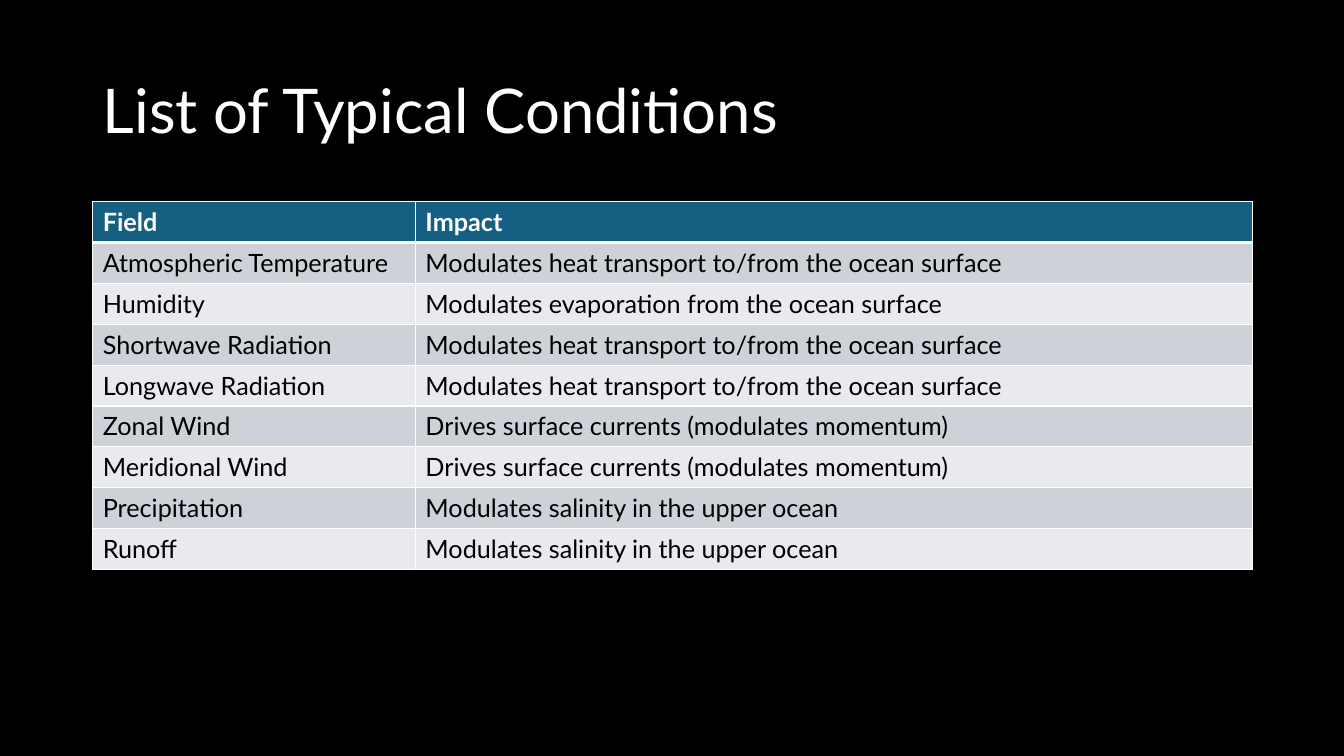
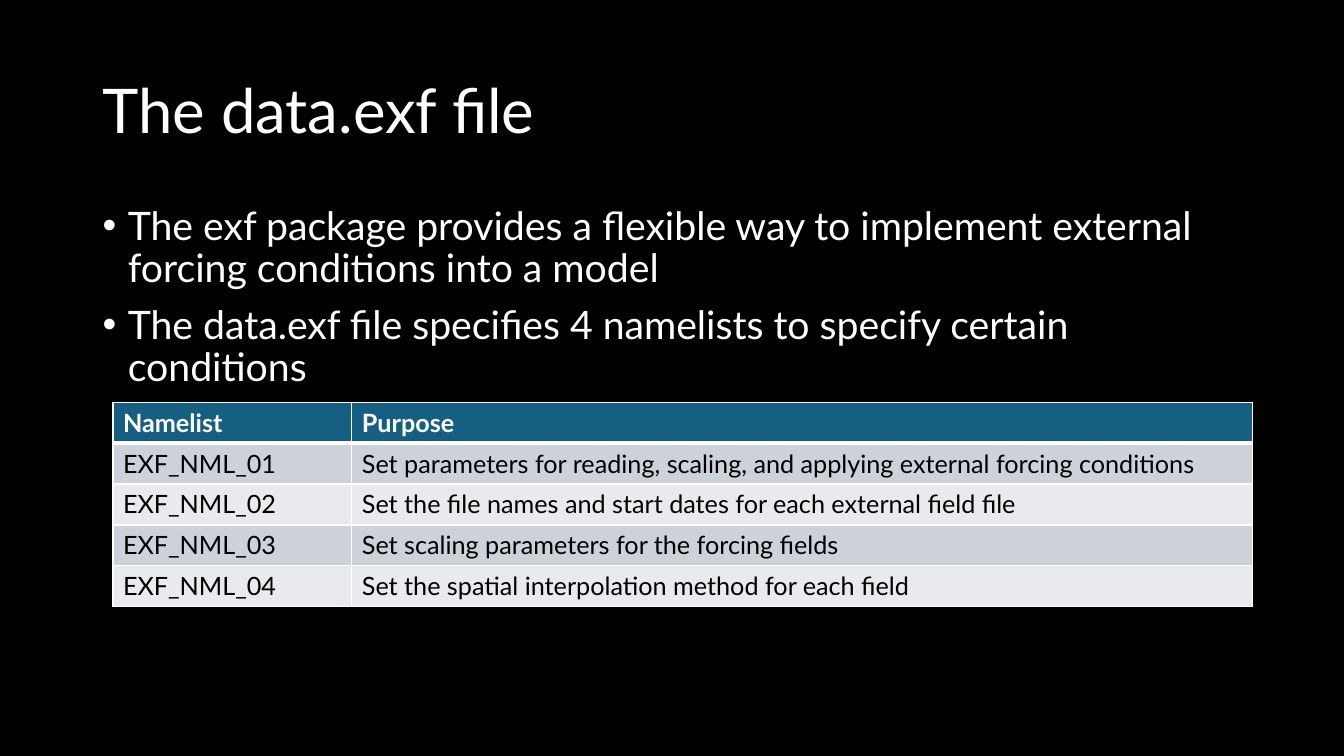
import dataclasses
import typing

import lxml.etree
import pptx
import pptx.dml.color
import pptx.enum.text
import pptx.oxml.ns
import pptx.presentation
import pptx.slide
import pptx.table
import pptx.text.text
import pptx.util

Inches = pptx.util.Inches
Pt = pptx.util.Pt

FONT = "Lato"
BLACK = "000000"
WHITE = "FFFFFF"
HEADER_FILL = "156082"
BAND_FILLS = ("CCD2D8", "E8EAED")
MARGIN = 0.92
CONTENT_WIDTH = 11.5

TITLE_FONT = {"name": FONT, "size": Pt(44)}
BULLET_FONT = {"name": FONT, "size": Pt(28)}
HEADER_FONT = {"name": FONT, "size": Pt(18), "bold": True}
CELL_FONT = {"name": FONT, "size": Pt(18), "bold": False}
TITLE_PARAGRAPH = {"line_spacing": 0.9}
BULLET_PARAGRAPH = {"line_spacing": 0.9, "space_before": Pt(10)}
TITLE_FRAME = {"word_wrap": True, "vertical_anchor": pptx.enum.text.MSO_ANCHOR.MIDDLE}
BULLET_FRAME = {"word_wrap": True, "vertical_anchor": pptx.enum.text.MSO_ANCHOR.TOP}
PLAIN_TABLE = {"first_row": False, "horz_banding": False}


class Box(typing.NamedTuple):
    left: float
    top: float
    width: float
    height: float

    def lengths(self) -> list[pptx.util.Length]:
        return [Inches(value) for value in self]


@dataclasses.dataclass(frozen=True)
class Grid:
    box: Box
    first_column: float
    rows: tuple[tuple[str, str], ...]


@dataclasses.dataclass(frozen=True)
class Page:
    title: str
    grid: Grid
    bullets: tuple[str, ...] = ()


TITLE_BOX = Box(MARGIN, 0.4, CONTENT_WIDTH, 1.45)
BULLET_BOX = Box(MARGIN, 2, CONTENT_WIDTH, 4.76)

HEAT = "Modulates heat transport to/from the ocean surface"
MOMENTUM = "Drives surface currents (modulates momentum)"
SALINITY = "Modulates salinity in the upper ocean"

PAGES = (
    Page(
        "List of Typical Conditions",
        Grid(
            Box(MARGIN, 2, CONTENT_WIDTH, 3.65),
            3.2,
            (
                ("Field", "Impact"),
                ("Atmospheric Temperature", HEAT),
                ("Humidity", "Modulates evaporation from the ocean surface"),
                ("Shortwave Radiation", HEAT),
                ("Longwave Radiation", HEAT),
                ("Zonal Wind", MOMENTUM),
                ("Meridional Wind", MOMENTUM),
                ("Precipitation", SALINITY),
                ("Runoff", SALINITY),
            ),
        ),
    ),
    Page(
        "The data.exf file",
        Grid(
            Box(1.12, 3.99, 11.3, 2.03),
            2.37,
            (
                ("Namelist", "Purpose"),
                ("EXF_NML_01", "Set parameters for reading, scaling, and applying external forcing conditions"),
                ("EXF_NML_02", "Set the file names and start dates for each external field file"),
                ("EXF_NML_03", "Set scaling parameters for the forcing fields"),
                ("EXF_NML_04", "Set the spatial interpolation method for each field"),
            ),
        ),
        (
            "The exf package provides a flexible way to implement external forcing conditions into a model",
            "The data.exf file specifies 4 namelists to specify certain conditions",
        ),
    ),
)


def apply_format(target: typing.Any, values: dict[str, typing.Any]) -> None:
    for name, value in values.items():
        setattr(target, name, value)


def paint(color_owner: typing.Any, color: str) -> None:
    color_owner.rgb = pptx.dml.color.RGBColor.from_string(color)


def paint_fill(fill: typing.Any, color: str) -> None:
    fill.solid()
    paint(fill.fore_color, color)


def write(paragraph: typing.Any, text: str, font: dict[str, typing.Any], color: str) -> None:
    run = paragraph.add_run()
    run.text = text
    apply_format(run.font, font)
    paint(run.font.color, color)


def add_child(parent: typing.Any, tag: str, **attributes: str) -> typing.Any:
    return lxml.etree.SubElement(parent, pptx.oxml.ns.qn(tag), attributes)


def add_bullet(paragraph: typing.Any) -> None:
    properties = paragraph._p.get_or_add_pPr()
    properties.set("marL", str(Inches(0.25)))
    properties.set("indent", str(Inches(-0.25)))
    add_child(properties, "a:buFont", typeface="Arial")
    add_child(properties, "a:buChar", char="•")


def add_text_box(slide: pptx.slide.Slide, box: Box, frame_format: dict[str, typing.Any]) -> pptx.text.text.TextFrame:
    frame = slide.shapes.add_textbox(*box.lengths()).text_frame
    apply_format(frame, frame_format)
    return frame


def add_title(slide: pptx.slide.Slide, title: str) -> None:
    paragraph = add_text_box(slide, TITLE_BOX, TITLE_FRAME).paragraphs[0]
    apply_format(paragraph, TITLE_PARAGRAPH)
    write(paragraph, title, TITLE_FONT, WHITE)


def add_bullets(slide: pptx.slide.Slide, bullets: tuple[str, ...]) -> None:
    frame = add_text_box(slide, BULLET_BOX, BULLET_FRAME)
    for index, bullet in enumerate(bullets):
        paragraph = frame.add_paragraph() if index else frame.paragraphs[0]
        apply_format(paragraph, BULLET_PARAGRAPH)
        add_bullet(paragraph)
        write(paragraph, bullet, BULLET_FONT, WHITE)


def add_borders(cell: pptx.table._Cell, top: float, bottom: float) -> None:
    properties = cell._tc.get_or_add_tcPr()
    for side, width in {"L": 1, "R": 1, "T": top, "B": bottom}.items():
        line = add_child(properties, f"a:ln{side}", w=str(Pt(width)))
        add_child(add_child(line, "a:solidFill"), "a:srgbClr", val=WHITE)


def add_grid(slide: pptx.slide.Slide, grid: Grid) -> None:
    table = slide.shapes.add_table(len(grid.rows), 2, *grid.box.lengths()).table
    apply_format(table, PLAIN_TABLE)
    table.columns[0].width = Inches(grid.first_column)
    table.columns[1].width = Inches(grid.box.width - grid.first_column)
    for row, texts in enumerate(grid.rows):
        is_header = row == 0
        fill = HEADER_FILL if is_header else BAND_FILLS[(row - 1) % 2]
        font, color = (HEADER_FONT, WHITE) if is_header else (CELL_FONT, BLACK)
        for column, text in enumerate(texts):
            cell = table.cell(row, column)
            add_borders(cell, top=3 if row == 1 else 1, bottom=3 if is_header else 1)
            paint_fill(cell.fill, fill)
            write(cell.text_frame.paragraphs[0], text, font, color)


def add_page(deck: pptx.presentation.Presentation, page: Page) -> None:
    slide = deck.slides.add_slide(deck.slide_layouts[6])
    paint_fill(slide.background.fill, BLACK)
    add_title(slide, page.title)
    if page.bullets:
        add_bullets(slide, page.bullets)
    add_grid(slide, page.grid)


def main() -> None:
    deck = pptx.Presentation()
    apply_format(deck, {"slide_width": Inches(13.33), "slide_height": Inches(7.5)})
    for page in PAGES:
        add_page(deck, page)
    deck.save("out.pptx")


if __name__ == "__main__":
    main()
